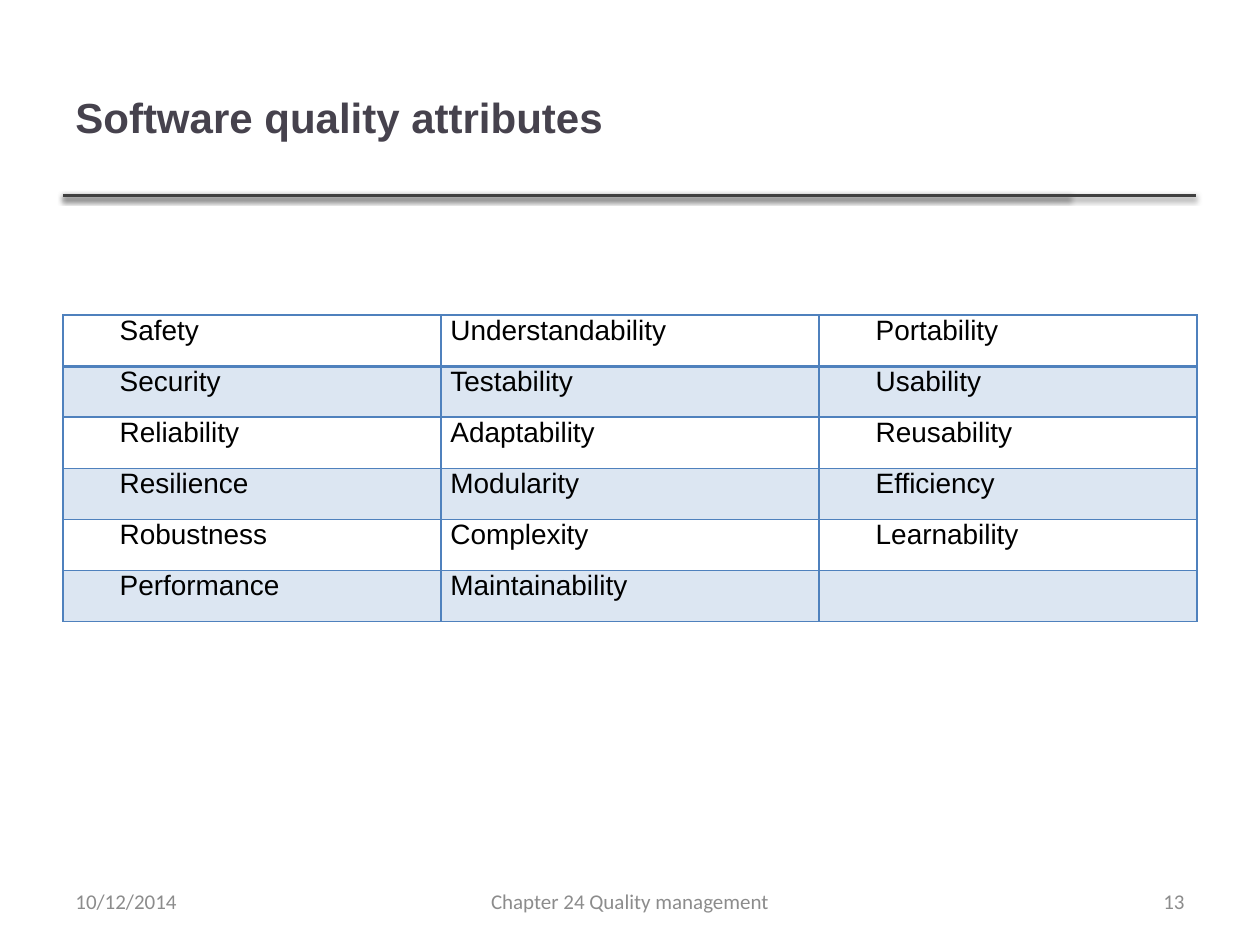
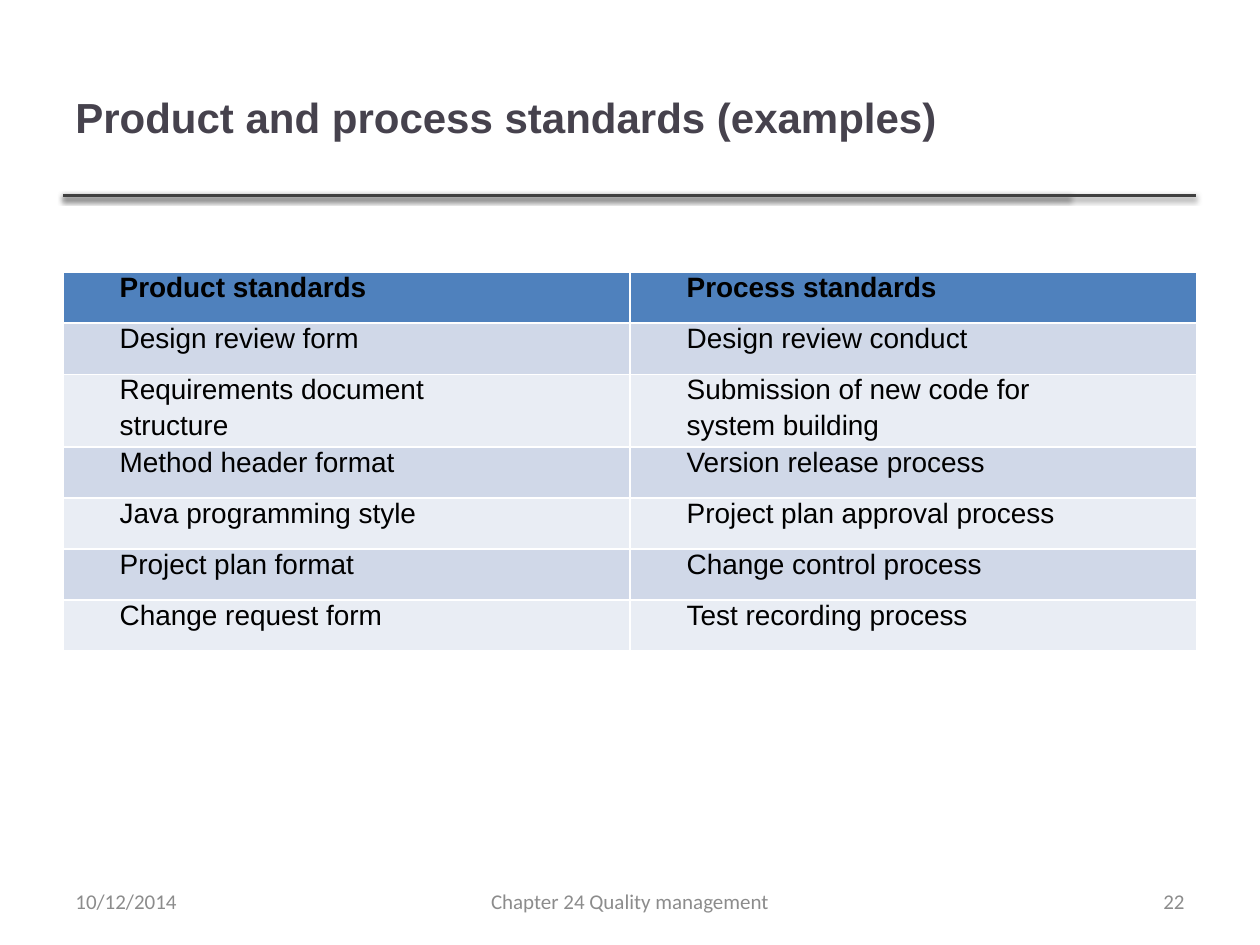
from lxml.etree import SubElement
from pptx import Presentation
from pptx.dml.color import RGBColor
from pptx.enum.shapes import MSO_CONNECTOR
from pptx.enum.text import MSO_ANCHOR, PP_ALIGN
from pptx.oxml import parse_xml
from pptx.oxml.ns import nsdecls, qn
from pptx.util import Pt

TITLE_INK = RGBColor(0x46, 0x42, 0x4D)
RULE_GREY = RGBColor(0x40, 0x40, 0x40)
FOOTER_GREY = RGBColor(0x8C, 0x8C, 0x8C)
BLACK = RGBColor(0x00, 0x00, 0x00)
WHITE = RGBColor(0xFF, 0xFF, 0xFF)
BLUE = RGBColor(0x4F, 0x81, 0xBD)
PALE_BLUE = RGBColor(0xDC, 0xE6, 0xF2)
BAND_DARK = RGBColor(0xD0, 0xD8, 0xE8)
BAND_LIGHT = RGBColor(0xE9, 0xED, 0xF4)

LEFT, TABLE_WIDTH, ROW_HEIGHT = 36, 648, 29.2
FIRST_LINE = Pt(27)
RULE_Y = 111.6
RULE_ENDS = (611.3, 683.3)
RULE_SHADOW = (
    f'<a:effectLst {nsdecls("a")}><a:outerShdw blurRad="{Pt(3.1)}" dist="{Pt(1.6)}" '
    'dir="5400000" rotWithShape="0"><a:srgbClr val="000000"><a:alpha val="38000"/>'
    '</a:srgbClr></a:outerShdw></a:effectLst>'
)

SLIDES = [
    {
        "title": "Software quality attributes", "number": "13", "top": 180,
        "border": BLUE, "header_rule": 2, "header_fill": WHITE, "header_bold": False,
        "bands": (PALE_BLUE, WHITE), "indented": (0, 2), "space_before": 3,
        "rows": [
            ("Safety", "Understandability", "Portability"),
            ("Security", "Testability", "Usability"),
            ("Reliability", "Adaptability", "Reusability"),
            ("Resilience", "Modularity", "Efficiency"),
            ("Robustness", "Complexity", "Learnability"),
            ("Performance", "Maintainability", ""),
        ],
    },
    {
        "title": "Product and process standards (examples)", "number": "22", "top": 155.5,
        "border": WHITE, "header_rule": 1, "header_fill": BLUE, "header_bold": True,
        "bands": (BAND_DARK, BAND_LIGHT), "indented": (0, 1), "space_before": 0,
        "rows": [
            ("Product standards", "Process standards"),
            ("Design review form", "Design review conduct"),
            ("Requirements document\nstructure", "Submission of new code for\nsystem building"),
            ("Method header format", "Version release process"),
            ("Java programming style", "Project plan approval process"),
            ("Project plan format", "Change control process"),
            ("Change request form", "Test recording process"),
        ],
    },
]


def add_run(paragraph, text, font, size, color, bold=False):
    run = paragraph.add_run()
    run.text = text
    run.font.name = font
    run.font.size = Pt(size)
    run.font.color.rgb = color
    run.font.bold = bold


def add_label(slide, box, text, align, *style):
    frame = slide.shapes.add_textbox(*(Pt(length) for length in box)).text_frame
    frame.word_wrap = True
    frame.vertical_anchor = MSO_ANCHOR.MIDDLE
    frame.paragraphs[0].alignment = align
    add_run(frame.paragraphs[0], text, *style)


deck = Presentation()
deck.slide_width, deck.slide_height = Pt(720), Pt(540)

for content in SLIDES:
    slide = deck.slides.add_slide(deck.slide_layouts[6])

    for rule_end in RULE_ENDS:
        rule = slide.shapes.add_connector(
            MSO_CONNECTOR.STRAIGHT, Pt(LEFT), Pt(RULE_Y), Pt(rule_end), Pt(RULE_Y))
        rule.line.color.rgb = RULE_GREY
        rule.line.width = Pt(2)
        rule.line._get_or_add_ln().addnext(parse_xml(RULE_SHADOW))

    add_label(slide, (LEFT, 21.6, 574.6, 90), content["title"], PP_ALIGN.LEFT,
              "Arial", 24, TITLE_INK, True)

    rows = content["rows"]
    column_count = len(rows[0])
    table = slide.shapes.add_table(
        len(rows), column_count, Pt(LEFT), Pt(content["top"]),
        Pt(TABLE_WIDTH), Pt(ROW_HEIGHT * len(rows))).table
    table.first_row = content["header_bold"]
    table.horz_banding = False
    for column in table.columns:
        column.width = Pt(TABLE_WIDTH / column_count)

    for row_index, entries in enumerate(rows):
        table.rows[row_index].height = Pt(ROW_HEIGHT)
        is_header = row_index == 0
        fill = content["header_fill"] if is_header else content["bands"][(row_index - 1) % 2]
        edges = {
            "L": 1,
            "R": 1,
            "T": content["header_rule"] if row_index == 1 else 1,
            "B": content["header_rule"] if is_header else 1,
        }
        for column_index, entry in enumerate(entries):
            cell = table.cell(row_index, column_index)
            cell.margin_left = cell.margin_right = Pt(5.4)
            cell.margin_top = cell.margin_bottom = 0
            for side, width in edges.items():
                edge = SubElement(cell._tc.get_or_add_tcPr(), qn(f"a:ln{side}"), w=str(Pt(width)))
                paint = SubElement(edge, qn("a:solidFill"))
                SubElement(paint, qn("a:srgbClr"), val=str(content["border"]))
            cell.fill.solid()
            cell.fill.fore_color.rgb = fill
            if not entry:
                continue
            for line_index, line in enumerate(entry.split("\n")):
                frame = cell.text_frame
                paragraph = frame.add_paragraph() if line_index else frame.paragraphs[0]
                paragraph.alignment = PP_ALIGN.JUSTIFY
                paragraph.space_before = Pt(3 if is_header else content["space_before"])
                paragraph.space_after = Pt(3 if content["header_bold"] or row_index > 3 else 0)
                if column_index in content["indented"]:
                    paragraph._p.get_or_add_pPr().set("indent", str(FIRST_LINE))
                add_run(paragraph, line, "Arial", 16, BLACK,
                        is_header and content["header_bold"])

    for left, width, text, align in [
        (246, 228, "Chapter 24 Quality management", PP_ALIGN.CENTER),
        (516, 168, content["number"], PP_ALIGN.RIGHT),
        (LEFT, 168, "10/12/2014", PP_ALIGN.LEFT),
    ]:
        add_label(slide, (left, 500.5, width, 28.75), text, align, "Calibri", 12, FOOTER_GREY)

deck.save("out.pptx")
